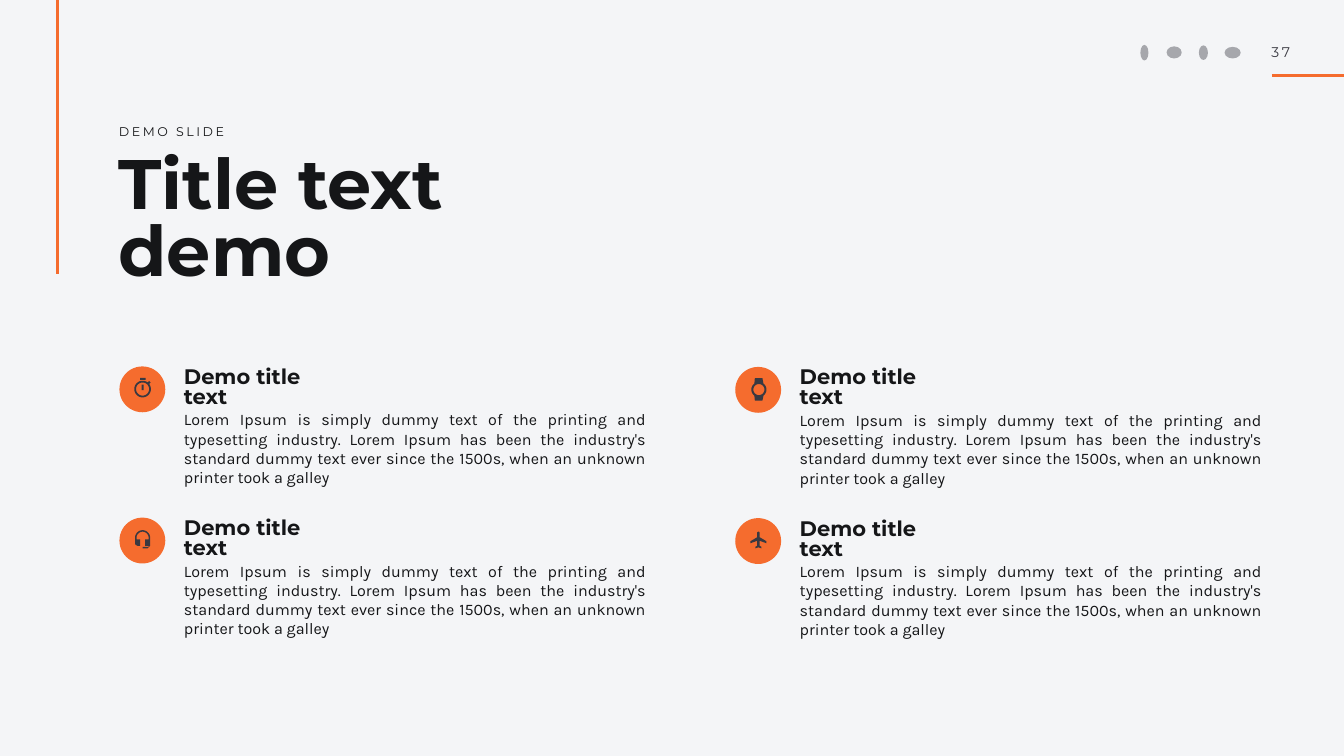
import math

from lxml import etree
from pptx import Presentation
from pptx.dml.color import RGBColor
from pptx.enum.shapes import MSO_CONNECTOR, MSO_SHAPE
from pptx.enum.text import MSO_ANCHOR, PP_ALIGN
from pptx.oxml.ns import qn
from pptx.util import Inches, Pt

STRAIGHT = MSO_CONNECTOR.STRAIGHT
OVAL = MSO_SHAPE.OVAL
TOP, MIDDLE = MSO_ANCHOR.TOP, MSO_ANCHOR.MIDDLE
LEFT, JUSTIFY = PP_ALIGN.LEFT, PP_ALIGN.JUSTIFY

COLORS = {
    "background": "F4F5F7",
    "accent": "F56C2E",
    "ink": "151618",
    "slate": "393941",
    "social": "A6A7AC",
}
HEADING_FONT, BODY_FONT = "Montserrat", "Karla"
BODY_TEXT = (
    "Lorem Ipsum is simply dummy text of the printing and typesetting industry. "
    "Lorem Ipsum has been the industry's standard dummy text ever since the 1500s, "
    "when an unknown printer took a galley"
)
SOCIAL_MARKS = [
    (22.63, 0.89, 0.16, 0.31),
    (23.15, 0.92, 0.3, 0.24),
    (23.79, 0.9, 0.18, 0.29),
    (24.3, 0.93, 0.32, 0.23),
]
COLUMN_STEP, ROW_STEP = 12.22, 3


def color(name):
    """Return the named palette colour."""
    return RGBColor.from_string(COLORS[name])


def arc(x, y, radius, start, end):
    """Return points along a circular arc, with angles in degrees."""
    steps = max(8, round(abs(end - start) / 8))
    angles = [math.radians(start + (end - start) * i / steps) for i in range(steps + 1)]
    return [(x + radius * math.cos(a), y + radius * math.sin(a)) for a in angles]


def stopwatch():
    """Return stopwatch contours in hundredths of an inch around its centre."""
    return [
        [(-5, -22), (6, -22), (6, -18), (-5, -18)],
        [(-2, -9), (2, -9), (2, 2), (-2, 2)],
        arc(0, 0, 16.5, -38, 308) + [(13, -16), (16, -13)],
        arc(0, 0, 13, 0, 360),
    ]


def headset():
    """Return headset contours in hundredths of an inch around its centre."""
    return [
        arc(0, -5, 15, 180, 360)
        + [(15, 11), (10, 16), (0, 16), (0, 13), (12, 13), (12, 11)]
        + [(5, 11), (5, -2), (12, -2)]
        + arc(0, -5, 12, 360, 180)
        + [(-12, -2), (-5, -2), (-5, 11), (-10, 11), (-14, 9), (-15, 7)]
    ]


def watch():
    """Return wristwatch contours in hundredths of an inch around its centre."""
    return [
        arc(1, 0, 15, 53, -53) + [(8, -23), (-7, -23)]
        + arc(1, 0, 15, 233, 127) + [(-7, 22), (8, 22)],
        arc(1, 0, 11, 0, 360),
    ]


def plane():
    """Return aeroplane contours in hundredths of an inch around its centre."""
    return [
        [(16, 5), (16, 1), (2.5, -7)]
        + arc(0, -15.5, 2.5, 360, 180)
        + [(-2.5, -7), (-16, 1), (-16, 5), (-2.5, 0), (-2.5, 10), (-6, 12), (-6, 15)]
        + [(0, 13), (6, 15), (6, 12), (2.5, 10), (2.5, 0)]
    ]


def paint(shape, fill):
    """Give a shape a plain fill without line or shadow."""
    shape.shadow.inherit = False
    shape.fill.solid()
    shape.fill.fore_color.rgb = color(fill)
    shape.line.fill.background()


def add_disc(page, left, top, width, height, fill):
    """Add a filled ellipse."""
    disc = page.shapes.add_shape(OVAL, *map(Inches, (left, top, width, height)))
    paint(disc, fill)


def add_icon(page, x, y, contours):
    """Add an icon whose inner contours are holes."""
    outlines = [[(Inches(a / 100), Inches(b / 100)) for a, b in c] for c in contours]
    builder = page.shapes.build_freeform(*outlines[0][0])
    builder.add_line_segments(outlines[0][1:], close=True)
    for outline in outlines[1:]:
        builder.move_to(*outline[0])
        builder.add_line_segments(outline[1:], close=True)
    paint(builder.convert_to_shape(Inches(x), Inches(y)), "slate")


def add_rule(page, *ends):
    """Add a straight accent line."""
    rule = page.shapes.add_connector(STRAIGHT, *map(Inches, ends))
    rule.line.color.rgb = color("accent")
    rule.line.width = Pt(4)
    etree.SubElement(rule._element.spPr, qn("a:effectLst"))


def add_text(page, frame, text, size, font=HEADING_FONT, ink="ink", bold=False,
             anchor=TOP, align=LEFT, line_spacing=1.0, tracking=0):
    """Add a wrapped one-paragraph text box with optional letter spacing in points."""
    box = page.shapes.add_textbox(*map(Inches, frame)).text_frame
    box.word_wrap = True
    box.vertical_anchor = anchor
    box.margin_left = box.margin_right = Inches(0.04)
    box.margin_top = box.margin_bottom = Inches(0.04)
    para = box.paragraphs[0]
    para.alignment = align
    para.line_spacing = line_spacing
    para.font.name = font
    para.font.size = Pt(size)
    para.font.bold = bold
    para.font.color.rgb = color(ink)
    span = para.add_run()
    span.text = text
    if tracking:
        span._r.get_or_add_rPr().set("spc", str(round(tracking * 100)))


def add_feature(page, left, top, icon):
    """Add an icon disc with its heading and body text."""
    add_disc(page, left, top, 0.91, 0.91, "accent")
    add_icon(page, left + 0.46, top + 0.45, icon)
    add_text(page, (left + 1.24, top + 0.82, 9.26, 1.62), BODY_TEXT, 23,
             font=BODY_FONT, align=JUSTIFY)
    add_text(page, (left + 1.24, top + 0.19, 3.14, 0.49), "Demo title text", 30,
             bold=True, anchor=MIDDLE, line_spacing=0.8)


def add_header(page):
    """Add the social marks, page number, rules and slide title."""
    for mark in SOCIAL_MARKS:
        add_disc(page, *mark, "social")
    add_rule(page, 25.24, 1.5, 26.67, 1.5)
    add_rule(page, 1.14, 0, 1.14, 5.44)
    add_text(page, (25.19, 0.83, 0.66, 0.42), "37", 20, ink="slate", tracking=4)
    add_text(page, (2.32, 2.41, 4.24, 0.39), "DEMO SLIDE", 18, anchor=MIDDLE,
             tracking=3.6)
    add_text(page, (2.31, 3.05, 9.95, 3.47), "Title text demo", 100, bold=True,
             line_spacing=0.8)


def main():
    """Build and save the slide."""
    deck = Presentation()
    deck.slide_width, deck.slide_height = Inches(26.67), Inches(15)
    page = deck.slides.add_slide(deck.slide_layouts[6])
    page.background.fill.solid()
    page.background.fill.fore_color.rgb = color("background")
    add_header(page)
    for row, icons in enumerate([(stopwatch, watch), (headset, plane)]):
        for column, icon in enumerate(icons):
            add_feature(page, 2.37 + column * COLUMN_STEP,
                        7.27 + row * ROW_STEP + column * 0.01, icon())
    deck.save("out.pptx")


if __name__ == "__main__":
    main()
